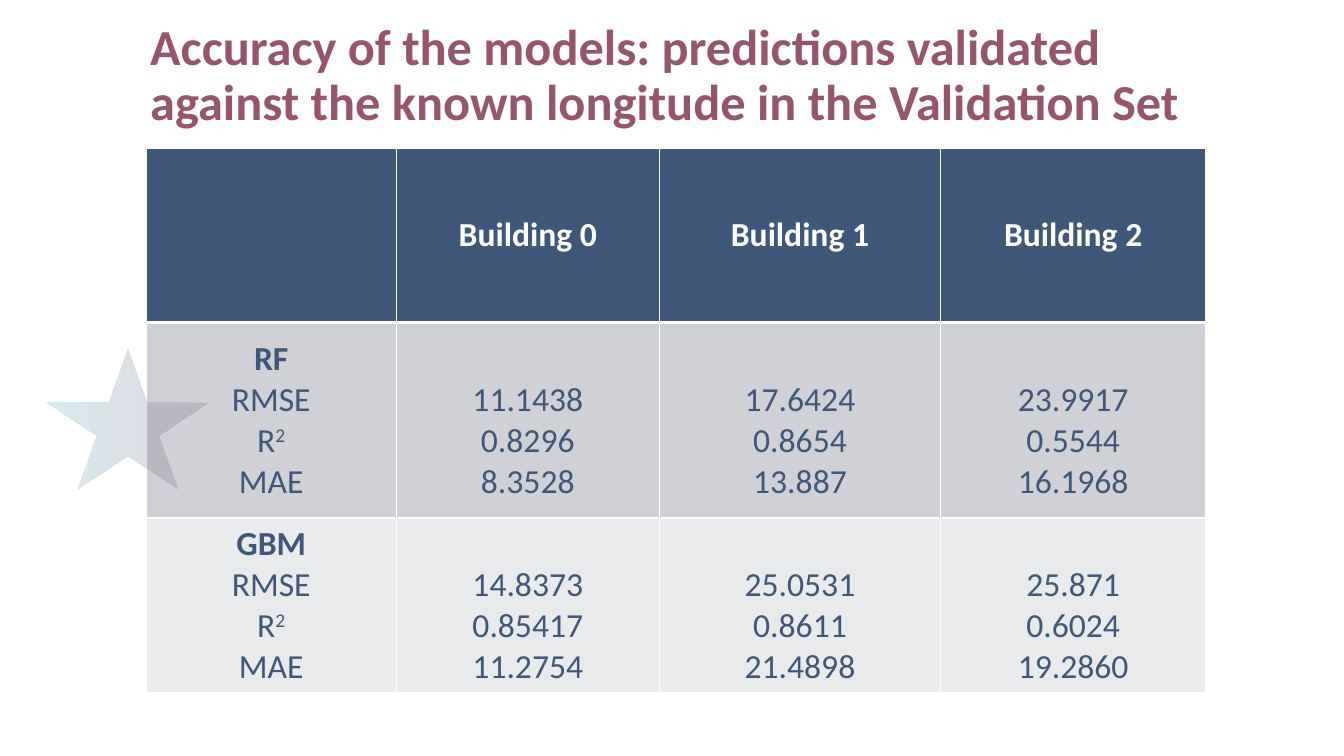
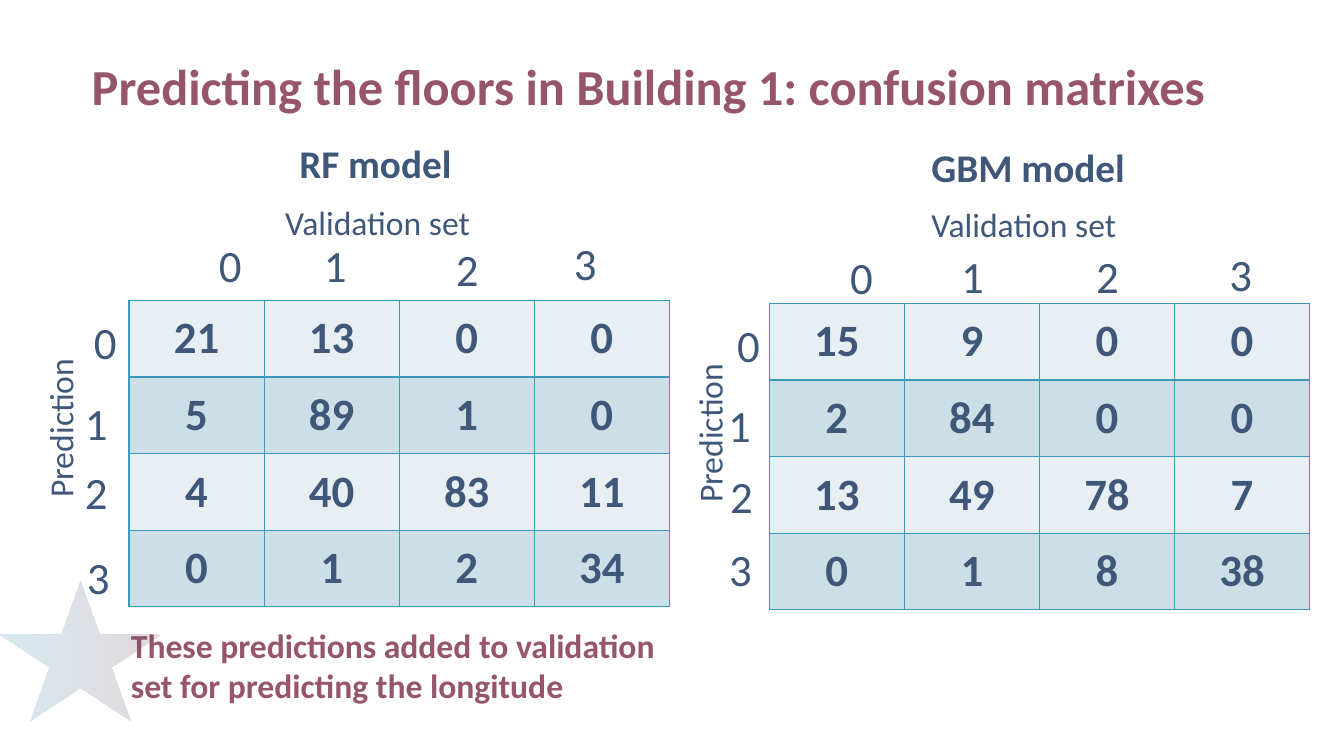
from dataclasses import dataclass

from lxml.etree import SubElement
from pptx import Presentation
from pptx.dml.color import RGBColor
from pptx.enum.shapes import MSO_SHAPE
from pptx.enum.text import MSO_ANCHOR, PP_ALIGN
from pptx.oxml import parse_xml
from pptx.oxml.ns import nsdecls, qn
from pptx.slide import Slide
from pptx.table import Table, _Cell
from pptx.text.text import TextFrame
from pptx.util import Inches, Pt

FONT = "Calibri"
PLUM, NAVY, TEAL, WHITE = "96556D", "3F5779", "3B99BB", "FFFFFF"
STAR_STOPS = ("6D3B4F", TEAL)
SCORE_FILLS = ("CFD1D7", "E8EAEC")
MATRIX_FILLS = ("E8EFF3", "CEDEE7")
SCORE_COLUMNS = (2.48, 2.61, 2.79, 2.63)
SCORE_ROWS = (1.73, 1.94, 1.73)
MATRIX_COLUMNS = (1.34,) * 4
MATRIX_ROWS = (0.76,) * 4
METRICS = "RMSE\nR^2\nMAE"
HEADING_LINE = 0.41
LABEL_EXTENT = (0.73, 0.64)

Point = tuple[float, float]


@dataclass(frozen=True)
class ModelScores:
    model: str
    buildings: tuple[str, ...]


@dataclass(frozen=True)
class ConfusionMatrix:
    model: str
    corner: Point
    counts: tuple[tuple[int, ...], ...]
    heading: Point
    column_axis: Point
    row_axis: Point
    column_labels: tuple[Point, ...]
    row_labels: tuple[Point, ...]


SCORES = (
    ModelScores("RF", ("11.1438\n0.8296\n8.3528", "17.6424\n0.8654\n13.887",
                       "23.9917\n0.5544\n16.1968")),
    ModelScores("GBM", ("14.8373\n0.85417\n11.2754", "25.0531\n0.8611\n21.4898",
                        "25.871\n0.6024\n19.2860")),
)

MATRICES = (
    ConfusionMatrix(
        "RF model", (1.28, 2.98),
        ((21, 13, 0, 0), (5, 89, 1, 0), (4, 40, 83, 11), (0, 1, 2, 34)),
        heading=(2.87, 1.33), column_axis=(2.73, 1.95), row_axis=(-0.27, 3.92),
        column_labels=((1.92, 2.31), (2.96, 2.31), (4.27, 2.35), (5.44, 2.29)),
        row_labels=((0.68, 3.07), (0.59, 3.88), (0.59, 4.56), (0.61, 5.4)),
    ),
    ConfusionMatrix(
        "GBM model", (7.63, 3.01),
        ((15, 9, 0, 0), (2, 84, 0, 0), (13, 49, 78, 7), (0, 1, 8, 38)),
        heading=(9.14, 1.37), column_axis=(9.14, 1.97), row_axis=(6.17, 3.97),
        column_labels=((8.18, 2.43), (9.28, 2.42), (10.62, 2.42), (11.94, 2.4)),
        row_labels=((7.06, 3.1), (6.97, 3.9), (6.99, 4.6), (6.98, 5.33)),
    ),
)


def rgb(value: str) -> RGBColor:
    return RGBColor.from_string(value)


def write(frame: TextFrame, text: str, *, size: float = 24, color: str = NAVY,
          bold: bool = False, bold_first: bool = False,
          align: PP_ALIGN = PP_ALIGN.LEFT, spacing: float = 1.0) -> None:
    """Write one paragraph per line; a caret starts a superscript."""
    for index, line in enumerate(text.split("\n")):
        paragraph = frame.paragraphs[0] if index == 0 else frame.add_paragraph()
        paragraph.alignment = align
        paragraph.line_spacing = spacing
        base, _, superscript = line.partition("^")
        for part in filter(None, (base, superscript)):
            run = paragraph.add_run()
            run.text = part
            run.font.name = FONT
            run.font.size = Pt(size)
            run.font.color.rgb = rgb(color)
            run.font.bold = bold or (bold_first and index == 0)
        if superscript:
            run._r.get_or_add_rPr().set("baseline", "30000")


def add_text(slide: Slide, corner: Point, extent: Point, text: str,
             rotation: float = 0, **text_format) -> TextFrame:
    box = slide.shapes.add_textbox(*map(Inches, (*corner, *extent)))
    box.rotation = rotation
    box.text_frame.word_wrap = True
    write(box.text_frame, text, **text_format)
    return box.text_frame


def add_title(slide: Slide, corner: Point, width: float, text: str) -> None:
    frame = add_text(slide, corner, (width, 1.14), text,
                     size=36, color=PLUM, bold=True, spacing=0.9)
    frame.vertical_anchor = MSO_ANCHOR.BOTTOM
    frame.margin_left = Inches(0.04)
    frame.margin_top = frame.margin_right = frame.margin_bottom = 0


def add_star(slide: Slide, left: float, top: float) -> None:
    star = slide.shapes.add_shape(
        MSO_SHAPE.STAR_5_POINT, *map(Inches, (left, top, 1.6, 1.38)))
    star.shadow.inherit = False
    star.line.fill.background()
    star.fill.gradient()
    star.fill.gradient_angle = 180
    for stop, color in zip(star.fill.gradient_stops, STAR_STOPS):
        stop.color.rgb = rgb(color)
    for color_element in list(star._element.spPr.iter(qn("a:srgbClr"))):
        SubElement(color_element, qn("a:alpha"), val="20000")


def add_grid(slide: Slide, corner: Point, columns: tuple[float, ...],
             rows: tuple[float, ...]) -> Table:
    table = slide.shapes.add_table(
        len(rows), len(columns),
        *map(Inches, (*corner, sum(columns), sum(rows)))).table
    table.first_row = table.horz_banding = False
    for column, width in zip(table.columns, columns):
        column.width = Inches(width)
    for row, height in zip(table.rows, rows):
        row.height = Inches(height)
    return table


def fill_cell(cell: _Cell, text: str, fill: str, border: str,
              top: float = 1, bottom: float = 1, **text_format) -> None:
    """Write centred text and set the fill and the border widths in points."""
    cell.vertical_anchor = MSO_ANCHOR.MIDDLE
    cell.fill.solid()
    cell.fill.fore_color.rgb = rgb(fill)
    write(cell.text_frame, text, align=PP_ALIGN.CENTER, **text_format)
    properties = cell._tc.get_or_add_tcPr()
    for index, (side, width) in enumerate(
            (("L", 1), ("R", 1), ("T", top), ("B", bottom))):
        properties.insert(index, parse_xml(
            f'<a:ln{side} {nsdecls("a")} w="{int(Pt(width))}"><a:solidFill>'
            f'<a:srgbClr val="{border}"/></a:solidFill></a:ln{side}>'))


def add_score_table(slide: Slide, corner: Point) -> None:
    table = add_grid(slide, corner, SCORE_COLUMNS, SCORE_ROWS)
    for column, header in enumerate(("", "Building 0", "Building 1", "Building 2")):
        fill_cell(table.cell(0, column), header, NAVY, WHITE,
                  bottom=3, color=WHITE, bold=True)
    for row, (scores, fill) in enumerate(zip(SCORES, SCORE_FILLS), start=1):
        top = 3 if row == 1 else 1
        fill_cell(table.cell(row, 0), f"{scores.model}\n{METRICS}", fill, WHITE,
                  top=top, bold_first=True)
        for column, values in enumerate(scores.buildings, start=1):
            cell = table.cell(row, column)
            fill_cell(cell, values, fill, WHITE, top=top)
            cell.margin_top = Inches(0.05 + HEADING_LINE)


def add_matrix(slide: Slide, matrix: ConfusionMatrix) -> None:
    table = add_grid(slide, matrix.corner, MATRIX_COLUMNS, MATRIX_ROWS)
    for row, counts in enumerate(matrix.counts):
        for column, count in enumerate(counts):
            fill_cell(table.cell(row, column), str(count),
                      MATRIX_FILLS[row % 2], TEAL, size=32, bold=True)
    add_text(slide, matrix.heading, (2.57, 0.57), matrix.model, size=28, bold=True)
    add_text(slide, matrix.column_axis, (2.07, 0.5), "Validation set")
    add_text(slide, matrix.row_axis, (1.73, 0.5), "Prediction", rotation=270)
    for labels in (matrix.column_labels, matrix.row_labels):
        for floor, corner in enumerate(labels):
            add_text(slide, corner, LABEL_EXTENT, str(floor),
                     size=32, align=PP_ALIGN.CENTER)


def main() -> None:
    presentation = Presentation()
    presentation.slide_width = Inches(13.33)
    presentation.slide_height = Inches(7.5)
    blank = presentation.slide_layouts[6]

    accuracy = presentation.slides.add_slide(blank)
    add_title(accuracy, (1.45, 0.16), 10.37,
              "Accuracy of the models: predictions validated against "
              "the known longitude in the Validation Set")
    add_score_table(accuracy, (1.45, 1.47))
    add_star(accuracy, 0.47, 3.47)

    floors = presentation.slides.add_slide(blank)
    add_title(floors, (0.87, 0.02), 11.24,
              "Predicting the floors in Building 1: confusion matrixes")
    for matrix in MATRICES:
        add_matrix(floors, matrix)
    add_text(floors, (1.2, 6.15), (5.53, 0.91),
             "These predictions added to validation set for predicting "
             "the longitude", color=PLUM, bold=True)
    add_star(floors, 0, 5.77)

    presentation.save("out.pptx")


if __name__ == "__main__":
    main()
